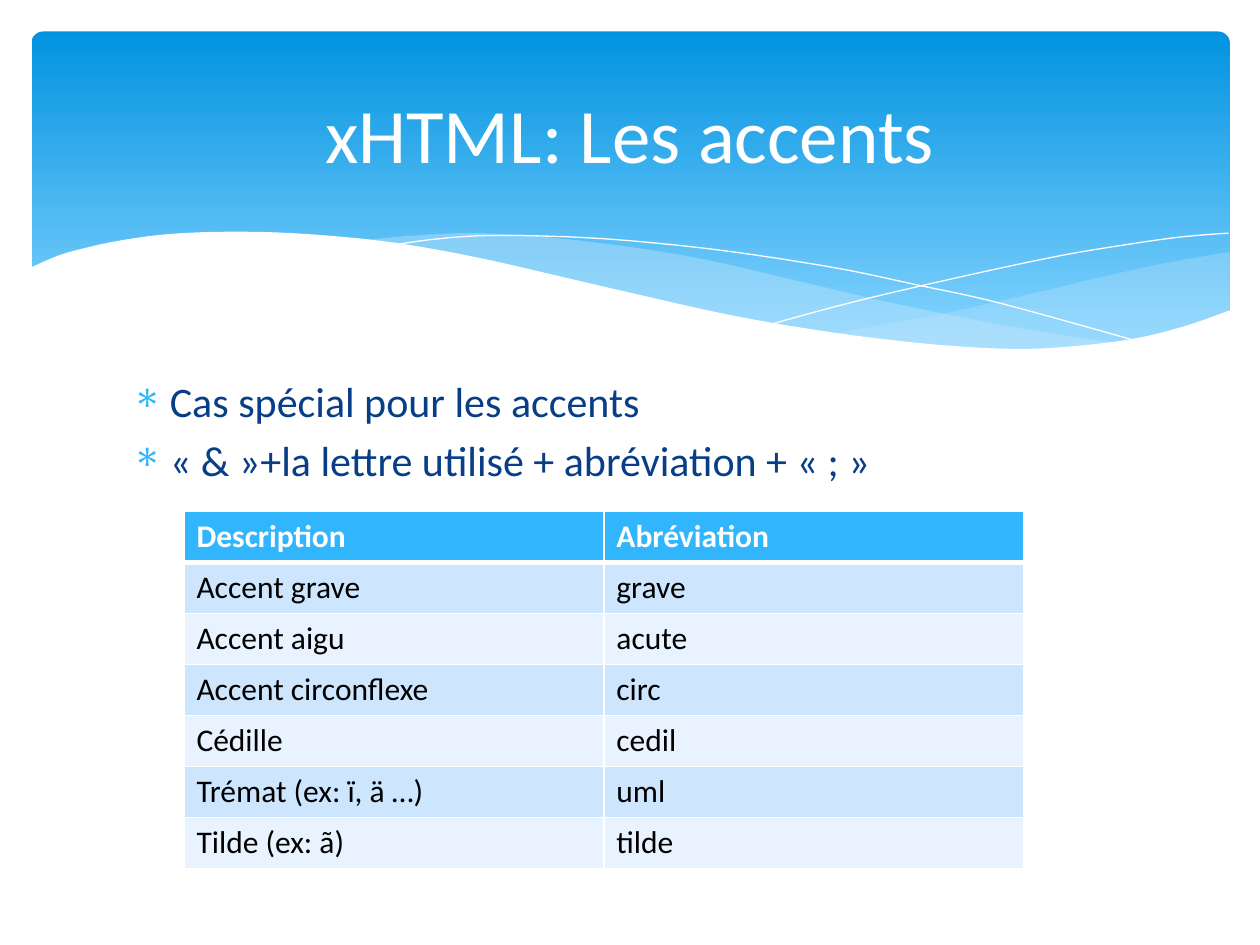
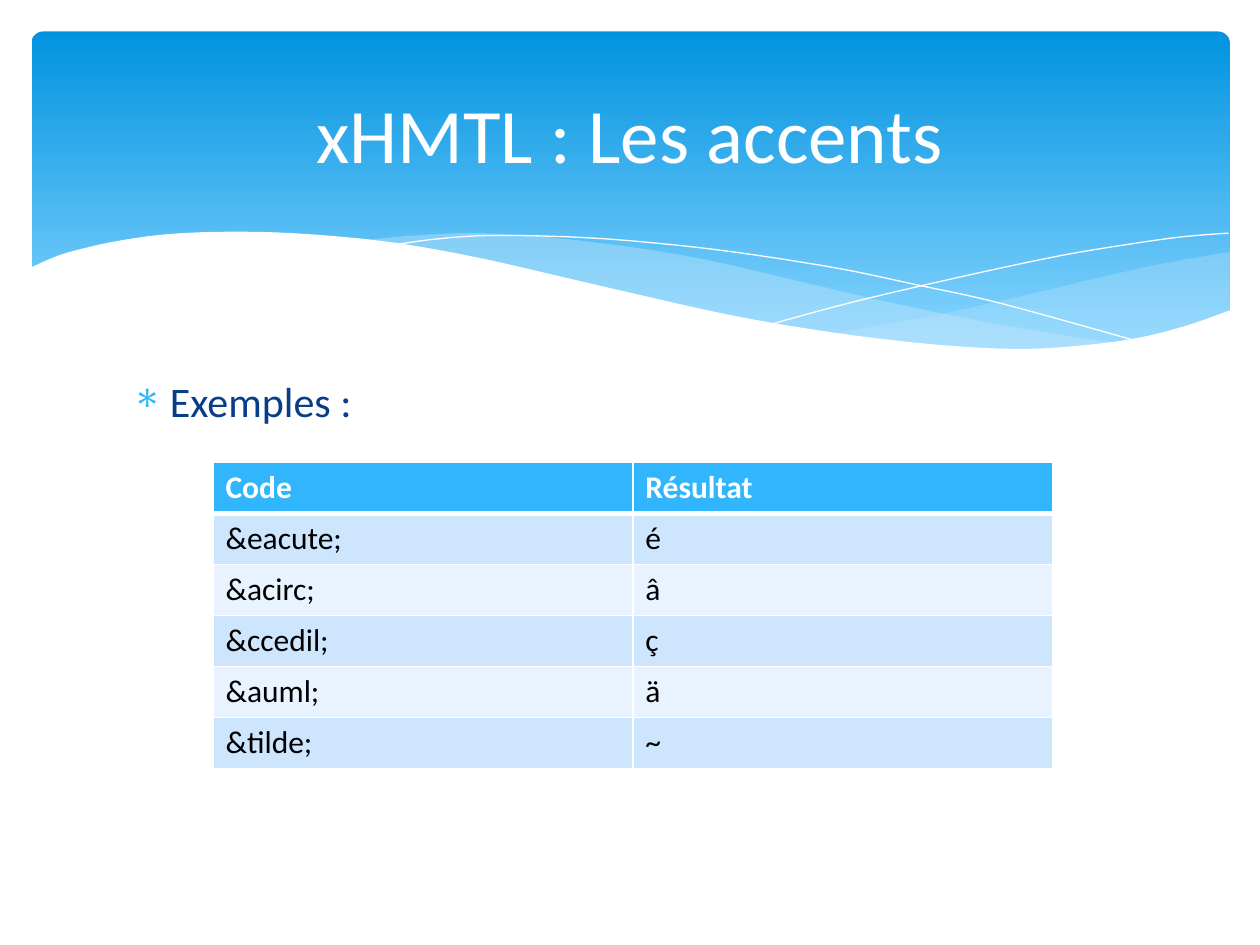
from dataclasses import dataclass
from typing import Any

import pptx
import pptx.dml.color
import pptx.enum.shapes
import pptx.enum.text
import pptx.oxml
import pptx.oxml.ns
import pptx.util
from lxml import etree

RGBColor = pptx.dml.color.RGBColor
Point = tuple[float, float]

WIDTH, HEIGHT = pptx.util.Inches(10), pptx.util.Inches(7.5)
COL, ROW = WIDTH / 100, HEIGHT / 75

WHITE = RGBColor(0xFF, 0xFF, 0xFF)
BLACK = RGBColor(0x00, 0x00, 0x00)
BAND_TOP = RGBColor(0x02, 0x93, 0xE0)
BAND_BOTTOM = RGBColor(0x83, 0xD3, 0xFE)
SWELL = RGBColor(0xC6, 0xE7, 0xFC)
NAVY = RGBColor(0x07, 0x3E, 0x87)
SKY = RGBColor(0x31, 0xB6, 0xFD)
ROW_FILLS = (RGBColor(0xCE, 0xE5, 0xFE), RGBColor(0xE8, 0xF3, 0xFF))

FONT = "Calibri"
TABLE_COL, TABLE_ROW = 33.33, 4.05
CURVE_STEPS = 6


@dataclass(frozen=True)
class Box:
    left: float
    top: float
    width: float
    height: float

    def emu(self) -> tuple[int, int, int, int]:
        return (round(self.left * COL), round(self.top * ROW),
                round(self.width * COL), round(self.height * ROW))


@dataclass(frozen=True)
class Wave:
    edges: tuple[tuple[Point, ...], ...]
    fill: RGBColor | None = None
    opacity: int = 100


@dataclass(frozen=True)
class AccentSlide:
    title: str
    bullets: tuple[str, ...]
    table_left: float
    table_top: float
    rows: tuple[tuple[str, str], ...]


BAND = Box(2.5, 2.5, 95.1, 27)
TITLE = Box(5, 3.7, 90, 13.7)
BODY = Box(9.5, 29.3, 81, 37.7)

WAVES = (
    Wave((
        ((97.6, 20), (93.5, 20.7), (89.1, 21.6), (83.2, 23), (75.3, 24.8), (66.1, 26.5)),
        ((66.1, 26.5), (71.9, 27.2), (76.9, 27.7), (81.4, 27.8), (86.3, 27.5),
         (90.5, 26.9), (94.2, 25.9), (97.6, 24.7)),
    ), SWELL, 29),
    Wave((
        ((89.3, 27.3), (83.7, 26.5), (77.5, 25.4), (70.6, 24), (62.9, 22.2), (56.9, 20.8),
         (51.4, 19.8), (44.2, 18.9), (38, 18.5), (32.8, 18.7), (28.6, 19.1)),
        ((28.6, 19.1), (34.2, 19.9), (40.4, 21.1), (44.9, 22.2), (53, 24), (60.1, 25.5),
         (66.5, 26.6), (72.2, 27.4), (77.3, 27.7), (81.8, 27.8), (85.7, 27.7), (89.3, 27.3)),
    ), SWELL, 40),
    Wave((
        ((30.9, 19.5), (34.4, 19), (38.7, 18.7), (45, 18.8), (51, 19.2), (58.2, 20),
         (66.5, 21.3), (72.7, 22.6), (79.5, 24.1), (90.7, 27.2)),
    )),
    Wave((
        ((61.3, 25.7), (67.2, 24.1), (74.8, 22.3), (83.6, 20.4), (89.5, 19.4),
         (93.8, 18.8), (97.5, 18.5)),
    )),
    Wave((
        ((97.7, 24.6), (94, 25.9), (89.9, 26.9), (85, 27.5), (80.9, 27.7), (76.1, 27.5),
         (70.8, 27), (64.8, 26.2), (57.9, 25), (50.3, 23.3), (44.7, 22), (39.1, 20.7),
         (34, 19.7), (29.2, 19), (23, 18.5), (17.7, 18.4), (13.2, 18.6), (9.5, 19.1),
         (6.7, 19.7), (4.6, 20.3), (2.3, 21.3)),
        ((2.3, 32.9), (97.7, 32.9)),
    ), WHITE),
)

SLIDES = (
    AccentSlide(
        "xHTML: Les accents",
        ("Cas spécial pour les accents",
         "« & »+la lettre utilisé + abréviation + « ; »"),
        14.6, 40.6,
        (("Description", "Abréviation"), ("Accent grave", "grave"), ("Accent aigu", "acute"),
         ("Accent circonflexe", "circ"), ("Cédille", "cedil"),
         ("Trémat (ex: ï, ä …)", "uml"), ("Tilde (ex: ã)", "tilde")),
    ),
    AccentSlide(
        "xHMTL : Les accents",
        ("Exemples :",),
        16.9, 36.7,
        (("Code", "Résultat"), ("&eacute;", "é"), ("&acirc;", "â"), ("&ccedil;", "ç"),
         ("&auml;", "ä"), ("&tilde;", "~")),
    ),
)


def apply(target: Any, formats: dict[str, Any]) -> None:
    for name, value in formats.items():
        setattr(target, name, value)


def add_run(p: Any, text: str, size: int, color: RGBColor, bold: bool = False) -> None:
    r = p.add_run()
    r.text = text
    apply(r.font, {"name": FONT, "size": pptx.util.Pt(size), "bold": bold})
    r.font.color.rgb = color


def smooth(knots: tuple[Point, ...]) -> list[Point]:
    if len(knots) < 3:
        return list(knots)
    padded = (knots[0], *knots, knots[-1])
    points = [knots[0]]
    for a, b, c, d in zip(padded, padded[1:], padded[2:], padded[3:]):
        for step in range(1, CURVE_STEPS + 1):
            t = step / CURVE_STEPS
            x, y = (
                (2 * q + (r - o) * t + (2 * o - 5 * q + 4 * r - u) * t ** 2
                 + (3 * q - o - 3 * r + u) * t ** 3) / 2
                for o, q, r, u in zip(a, b, c, d)
            )
            points.append((x, y))
    return points


def draw_wave(s: Any, wave: Wave) -> None:
    outline = [(round(x * COL), round(y * ROW)) for edge in wave.edges for x, y in smooth(edge)]
    builder = s.shapes.build_freeform(*outline[0])
    builder.add_line_segments(outline[1:], close=wave.fill is not None)
    sp = builder.convert_to_shape()
    sp.shadow.inherit = False
    if wave.fill is None:
        sp.fill.background()
        sp.line.color.rgb = WHITE
        sp.line.width = 0
        return
    sp.line.fill.background()
    sp.fill.solid()
    sp.fill.fore_color.rgb = wave.fill
    if wave.opacity < 100:
        color = sp.fill._xPr.find(".//" + pptx.oxml.ns.qn("a:srgbClr"))
        etree.SubElement(color, pptx.oxml.ns.qn("a:alpha"), val=str(wave.opacity * 1000))


def draw_band(s: Any) -> None:
    sp = s.shapes.add_shape(pptx.enum.shapes.MSO_SHAPE.ROUNDED_RECTANGLE, *BAND.emu())
    sp.adjustments[0] = 0.034
    sp.shadow.inherit = False
    sp.line.fill.background()
    sp.fill.gradient()
    sp.fill.gradient_angle = 270
    for stop, position, color in zip(sp.fill.gradient_stops, (0, 0.9), (BAND_TOP, BAND_BOTTOM)):
        stop.position = position
        stop.color.rgb = color
    for wave in WAVES:
        draw_wave(s, wave)


def add_text(s: Any, box: Box, anchor: Any) -> Any:
    tf = s.shapes.add_textbox(*box.emu()).text_frame
    apply(tf, {"word_wrap": True, "vertical_anchor": anchor})
    return tf


def draw_title(s: Any, text: str) -> None:
    p = add_text(s, TITLE, pptx.enum.text.MSO_ANCHOR.MIDDLE).paragraphs[0]
    p.alignment = pptx.enum.text.PP_ALIGN.CENTER
    add_run(p, text, 44, WHITE)


def draw_bullets(s: Any, bullets: tuple[str, ...]) -> None:
    tf = add_text(s, BODY, pptx.enum.text.MSO_ANCHOR.TOP)
    indent = round(3 * COL)
    for i, text in enumerate(bullets):
        p = tf.add_paragraph() if i else tf.paragraphs[0]
        p.space_before = pptx.util.Pt(4.8)
        pPr = p._p.get_or_add_pPr()
        pPr.set("marL", str(indent))
        pPr.set("indent", str(-indent))
        color = etree.SubElement(pPr, pptx.oxml.ns.qn("a:buClr"))
        etree.SubElement(color, pptx.oxml.ns.qn("a:srgbClr"), val=str(SKY))
        etree.SubElement(pPr, pptx.oxml.ns.qn("a:buChar"), char="∗")
        add_run(p, text, 24, NAVY)


def set_borders(cell: Any, widths: dict[str, int]) -> None:
    tcPr = cell._tc.get_or_add_tcPr()
    for i, (side, width) in enumerate(widths.items()):
        ln = pptx.oxml.parse_xml(
            f'<a:{side} {pptx.oxml.ns.nsdecls("a")} w="{pptx.util.Pt(width)}">'
            f'<a:solidFill><a:srgbClr val="{WHITE}"/></a:solidFill></a:{side}>')
        tcPr.insert(i, ln)


def draw_table(s: Any, content: AccentSlide) -> None:
    rows, cols = len(content.rows), len(content.rows[0])
    box = Box(content.table_left, content.table_top, cols * TABLE_COL, rows * TABLE_ROW)
    table = s.shapes.add_table(rows, cols, *box.emu()).table
    for column in table.columns:
        column.width = round(TABLE_COL * COL)
    for i, texts in enumerate(content.rows):
        table.rows[i].height = round(TABLE_ROW * ROW)
        header = i == 0
        for j, text in enumerate(texts):
            cell = table.cell(i, j)
            cell.fill.solid()
            cell.fill.fore_color.rgb = SKY if header else ROW_FILLS[(i - 1) % 2]
            add_run(cell.text_frame.paragraphs[0], text, 18, WHITE if header else BLACK, header)
            set_borders(cell, {"lnL": 1, "lnR": 1, "lnT": 3 if i == 1 else 1,
                               "lnB": 3 if header else 1})


def main() -> None:
    prs = pptx.Presentation()
    apply(prs, {"slide_width": WIDTH, "slide_height": HEIGHT})
    for content in SLIDES:
        s = prs.slides.add_slide(prs.slide_layouts[6])
        draw_band(s)
        draw_bullets(s, content.bullets)
        draw_title(s, content.title)
        draw_table(s, content)
    prs.save("out.pptx")


if __name__ == "__main__":
    main()
